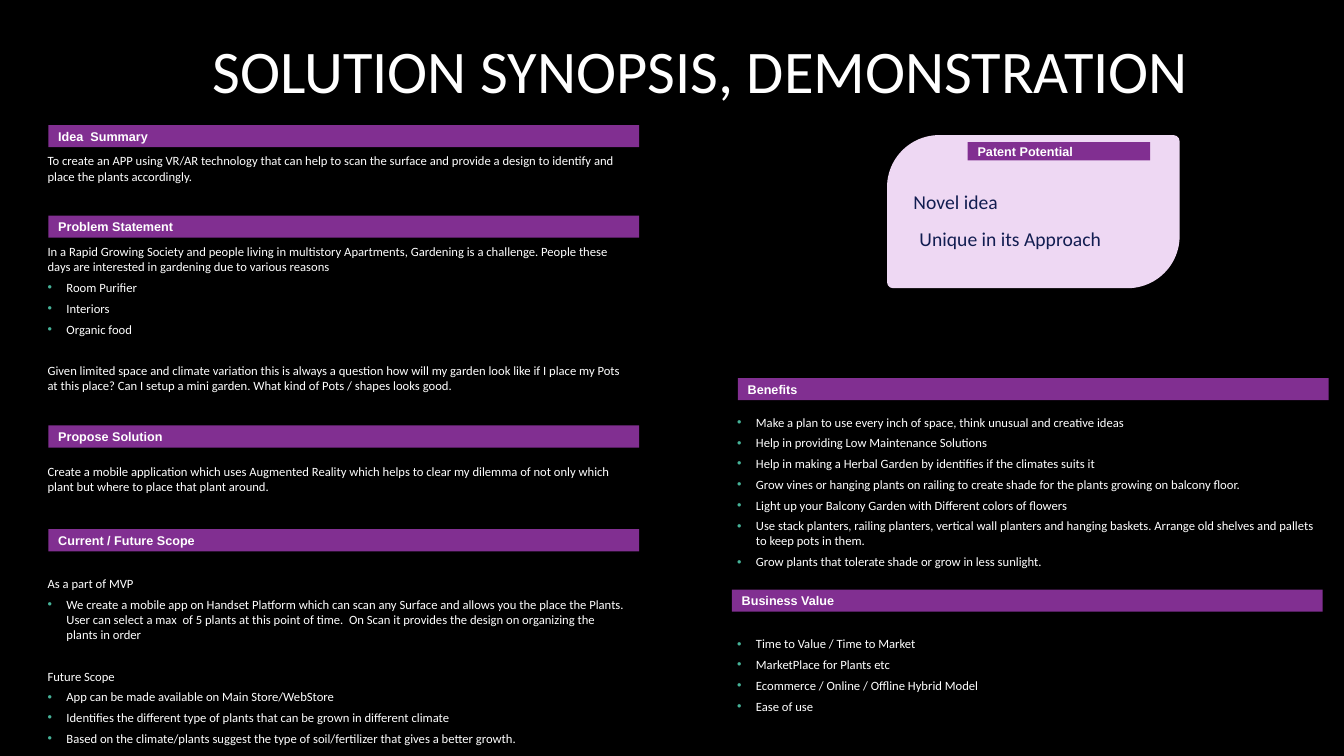
from lxml import etree
from pptx import Presentation
from pptx import util as u
from pptx.dml.color import RGBColor
from pptx.enum import shapes, text
from pptx.oxml import ns

Pt = u.Pt


def paint(color, code):
    color.rgb = RGBColor.from_string(code)


class Deck:
    purple, pale, navy = "812F91", "EED8F3", "121D51"
    white, black, green = "FFFFFF", "000000", "46B298"
    head, body = "Arial", "Calibri"
    small, wide, high = 9, 422, 15.8
    indent, gap = 13.5, 15

    def __init__(self):
        self.file = Presentation()
        self.file.slide_width, self.file.slide_height = Pt(960), Pt(540)
        self.slide = self.file.slides.add_slide(self.file.slide_layouts[4])
        fill = self.slide.background.fill
        fill.solid()
        paint(fill.fore_color, self.black)

    def place(self, item, box):
        item.left, item.top, item.width, item.height = map(Pt, box)

    def font(self, para, name, size, code, bold=False):
        para.font.name, para.font.size, para.font.bold = name, Pt(size), bold
        paint(para.font.color, code)

    def frame(self, item, anchor, sides, ends):
        frame = item.text_frame
        frame.word_wrap = True
        frame.auto_size = text.MSO_AUTO_SIZE.NONE
        frame.vertical_anchor = anchor
        frame.margin_left = frame.margin_right = Pt(sides)
        frame.margin_top = frame.margin_bottom = Pt(ends)
        return frame

    def space(self, para, before, after):
        para.line_spacing = 1.0
        para.space_before, para.space_after = Pt(before), Pt(after)

    def title(self, words, box):
        item = self.slide.shapes.title
        self.place(item, box)
        para = self.frame(item, text.MSO_ANCHOR.BOTTOM, 7.2, 0).paragraphs[0]
        para.text = words
        para.alignment = text.PP_ALIGN.CENTER
        self.font(para, self.body, 43.2, self.white)

    def shape(self, kind, box, code):
        item = self.slide.shapes.add_shape(kind, *map(Pt, box))
        item.shadow.inherit = False
        item.fill.solid()
        paint(item.fill.fore_color, code)
        item.line.fill.background()
        return item

    def bar(self, words, left, top, wide=wide, high=high):
        item = self.shape(shapes.MSO_SHAPE.RECTANGLE, (left, top, wide, high), self.purple)
        para = self.frame(item, text.MSO_ANCHOR.MIDDLE, 7.2, 0).paragraphs[0]
        para.text = words
        para.alignment = text.PP_ALIGN.LEFT
        self.font(para, self.head, self.small, self.white, True)

    def card(self, box):
        item = self.shape(shapes.MSO_SHAPE.ROUND_2_DIAG_RECTANGLE, box, self.pale)
        item.adjustments[0], item.adjustments[1] = 0.34, 0.04

    def note(self, words, box, size=small, code=white):
        item = self.slide.shapes.add_textbox(*map(Pt, box))
        para = self.frame(item, text.MSO_ANCHOR.TOP, 8.8, 4.4).paragraphs[0]
        para.text = words
        self.space(para, 0, 4)
        self.font(para, self.body, size, code)

    def bullet(self, para, on):
        props = para._p.get_or_add_pPr()
        props.set("marL", str(Pt(self.indent if on else 0)))
        props.set("indent", str(Pt(-self.indent if on else 0)))
        if not on:
            etree.SubElement(props, ns.qn("a:buNone"))
            return
        tint = etree.SubElement(props, ns.qn("a:buClr"))
        etree.SubElement(tint, ns.qn("a:srgbClr"), val=self.green)
        etree.SubElement(props, ns.qn("a:buFont"), typeface=self.head)
        etree.SubElement(props, ns.qn("a:buChar"), char="•")

    def list(self, index, box, groups):
        item = self.slide.placeholders[index]
        self.place(item, box)
        frame = self.frame(item, text.MSO_ANCHOR.TOP, 8.8, 4.4)
        para = frame.paragraphs[0]
        for rank, (lead, points) in enumerate(groups):
            lines = [(lead, False)] if lead else []
            lines += [(point, True) for point in points]
            for row, (words, dot) in enumerate(lines):
                if rank or row:
                    para = frame.add_paragraph()
                para.text = words
                para.alignment = text.PP_ALIGN.LEFT
                self.space(para, self.gap if rank and not row else 0, 4)
                self.bullet(para, dot)
                self.font(para, self.body, self.small, self.white)


def main():
    deck = Deck()
    deck.title("SOLUTION SYNOPSIS, DEMONSTRATION", (133.2, -6.5, 734.4, 82))

    left, right, wide = 25.2, 517.7, 431.3
    for words, x, y in (
        ("Idea  Summary", 34.5, 89.3),
        ("Problem Statement", 34.5, 154),
        ("Propose Solution", 34.5, 303.9),
        ("Current / Future Scope", 34.5, 378),
        ("Benefits", 527, 270),
        ("Business Value", 522.7, 421.2),
    ):
        deck.bar(words, x, y)

    deck.note(
        "To create an APP using VR/AR technology that can help to scan the surface "
        "and provide a design to identify and  place the plants accordingly.",
        (left, 105.1, wide, 49))
    deck.note(
        "Create a mobile application which uses Augmented Reality which helps to clear "
        "my dilemma of not only which plant but where to place that plant around.",
        (left, 326.9, wide, 34.6))

    deck.list(1, (left, 169.9, wide, 130), [
        ("In a Rapid Growing Society and people living in multistory Apartments, "
         "Gardening is a challenge. People these days are interested in gardening "
         "due to various reasons",
         ["Room Purifier", "Interiors", "Organic food"]),
        ("Given limited space and climate variation this is always a question how will "
         "my garden look like if I place my Pots at this place? Can I setup a mini "
         "garden. What kind of Pots / shapes looks good.", []),
    ])
    deck.list(2, (left, 406.8, wide, 133), [
        ("As a part of MVP",
         ["We create a mobile app on Handset Platform which can scan any Surface and "
          "allows you the place the Plants. User can select a max  of 5 plants at this "
          "point of time.  On Scan it provides the design on organizing the plants in order"]),
        ("Future Scope",
         ["App can be made available on Main Store/WebStore",
          "Identifies the different type of plants that can be grown in different climate",
          "Based on the climate/plants suggest the type of soil/fertilizer that gives "
          "a better growth."]),
    ])
    deck.list(3, (right, 291.6, wide, 126), [
        ("", ["Make a plan to use every inch of space, think unusual and creative ideas",
              "Help in providing Low Maintenance Solutions",
              "Help in making a Herbal Garden by identifies if the climates suits it",
              "Grow vines or hanging plants on railing to create shade for the plants "
              "growing on balcony floor.",
              "Light up your Balcony Garden with Different colors of flowers",
              "Use stack planters, railing planters, vertical wall planters and hanging "
              "baskets. Arrange old shelves and pallets to keep pots in them.",
              "Grow plants that tolerate shade or grow in less sunlight."]),
    ])
    deck.list(4, (right, 450, wide, 90), [
        ("", ["Time to Value / Time to Market", "MarketPlace for Plants etc",
              "Ecommerce / Online / Offline Hybrid Model", "Ease of use"]),
    ])

    deck.card((633.6, 96.5, 209, 109.4))
    deck.bar("Patent Potential", 691.2, 101.5, 130.3, 13)
    deck.note("Novel idea", (643.7, 131, 190.8, 23), 14, deck.navy)
    deck.note("Unique in its Approach", (648, 157.7, 190.8, 23), 14, deck.navy)

    deck.file.save("out.pptx")


if __name__ == "__main__":
    main()
